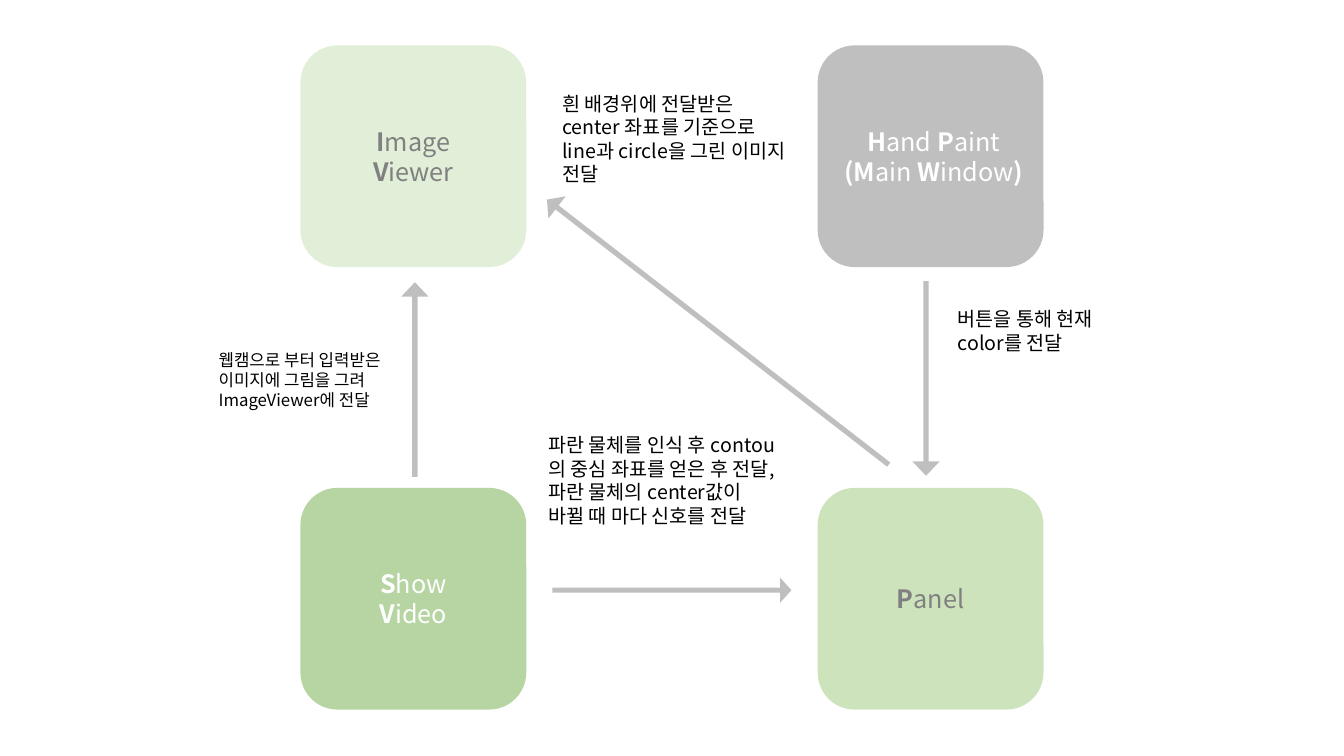
from dataclasses import dataclass

from lxml.etree import SubElement
from pptx import Presentation
from pptx.dml.color import RGBColor
from pptx.enum.shapes import MSO_SHAPE as Shape
from pptx.enum.text import MSO_AUTO_SIZE as AutoSize, PP_ALIGN as Align
from pptx.oxml.ns import qn
from pptx.util import Inches, Pt

FONT = "Noto Sans CJK KR"
WHITE = RGBColor(0xFF, 0xFF, 0xFF)
BLACK = RGBColor(0x00, 0x00, 0x00)
GRAY = RGBColor(0x80, 0x80, 0x80)
ARROW_GRAY = RGBColor(0xBF, 0xBF, 0xBF)
PALE_GREEN = RGBColor(0xC5, 0xE0, 0xB4)
GREEN = RGBColor(0x70, 0xAD, 0x47)
LIGHT_GREEN = RGBColor(0xA9, 0xD1, 0x8E)

COLUMNS = (2.98, 8.11)
ROWS = (0.45, 4.84)
BOX_W, BOX_H = 2.24, 2.2
LINE_H = 0.3


@dataclass
class Module:
    """One box of the diagram; *marked* letters of its lines are bold."""
    col: int
    row: int
    fill: RGBColor
    opacity: int
    lines: tuple[str, ...]
    color: RGBColor
    shift: float = 0


@dataclass
class Arrow:
    """A down arrow, given before it is turned clockwise by angle."""
    left: float
    top: float
    width: float
    length: float
    angle: float
    shaft: float
    head: float


@dataclass
class Note:
    left: float
    top: float
    width: float
    height: float
    size: int
    text: str


MODULES = (
    Module(0, 0, PALE_GREEN, 50, ("*I*mage", "*V*iewer"), GRAY),
    Module(0, 1, GREEN, 50, ("*S*how", "*V*ideo"), WHITE),
    Module(1, 1, LIGHT_GREEN, 59, ("*P*anel",), GRAY),
    Module(1, 0, GRAY, 50, ("*H*and* P*aint", "*(M*ain* W*indow*)*"), WHITE, 0.03),
)
ARROWS = (
    Arrow(3.98, 2.8, 0.27, 1.93, 180, 0.197, 0.526),
    Arrow(6.54, 4.67, 0.25, 2.37, 270, 0.202, 0.451),
    Arrow(6.98, 1.15, 0.28, 4.29, 127.8, 0.187, 0.451),
    Arrow(9.05, 2.79, 0.27, 1.93, 0, 0.197, 0.526),
)
NOTES = (
    Note(2.07, 3.42, 2.13, 0.7, 12,
         "웹캠으로 부터 입력받은 이미지에 그림을 그려 ImageViewer에 전달"),
    Note(5.34, 4.25, 2.51, 1.26, 14,
         "파란 물체를 인식 후 contou의 중심 좌표를 얻은 후 전달, "
         "파란 물체의 center값이 바뀔 때 마다 신호를 전달"),
    Note(9.4, 3, 2.03, 0.56, 14, "버튼을 통해 현재 color를 전달"),
    Note(5.48, 0.86, 2.49, 1.03, 14,
         "흰 배경위에 전달받은 center 좌표를 기준으로 line과 circle을 그린 이미지 전달"),
)


def add_plain_shape(s, kind: Shape, left: float, top: float,
                    width: float, height: float, fill: RGBColor):
    sp = s.shapes.add_shape(kind, Inches(left), Inches(top),
                            Inches(width), Inches(height))
    sp.shadow.inherit = False
    sp.fill.solid()
    sp.fill.fore_color.rgb = fill
    sp.line.fill.background()
    return sp


def set_opacity(sp, percent: int) -> None:
    color = sp._element.spPr.find(qn("a:solidFill"))[0]
    SubElement(color, qn("a:alpha")).set("val", str(percent * 1000))


def add_text(s, left: float, top: float, width: float, height: float,
             lines: tuple[str, ...], size: int, color: RGBColor, align: Align) -> None:
    """Add one paragraph per line, with *marked* parts in bold."""
    tf = s.shapes.add_textbox(Inches(left), Inches(top),
                              Inches(width), Inches(height)).text_frame
    tf.word_wrap = True
    tf.auto_size = AutoSize.SHAPE_TO_FIT_TEXT
    for i, line in enumerate(lines):
        p = tf.add_paragraph() if i else tf.paragraphs[0]
        p.alignment = align
        for j, part in enumerate(line.split("*")):
            if not part:
                continue
            r = p.add_run()
            r.text = part
            r.font.name = FONT
            r.font.size = Pt(size)
            r.font.bold = j % 2 == 1
            r.font.color.rgb = color
            SubElement(r._r.rPr, qn("a:ea")).set("typeface", FONT)


def add_module_box(s, m: Module) -> None:
    sp = add_plain_shape(s, Shape.ROUNDED_RECTANGLE, COLUMNS[m.col], ROWS[m.row],
                         BOX_W, BOX_H, m.fill)
    sp.adjustments[0] = 0.167
    set_opacity(sp, m.opacity)


def add_module_name(s, m: Module) -> None:
    height = LINE_H * len(m.lines) + 0.1
    top = ROWS[m.row] + (BOX_H - height) / 2
    add_text(s, COLUMNS[m.col] + m.shift, top, BOX_W, height,
             m.lines, 18, m.color, Align.CENTER)


def add_arrow(s, a: Arrow) -> None:
    sp = add_plain_shape(s, Shape.DOWN_ARROW, a.left, a.top, a.width, a.length, ARROW_GRAY)
    sp.rotation = a.angle
    sp.adjustments[0] = a.shaft
    sp.adjustments[1] = a.head


def main() -> None:
    prs = Presentation()
    prs.slide_width, prs.slide_height = Inches(13.33), Inches(7.5)
    s = prs.slides.add_slide(prs.slide_layouts[6])
    for m in MODULES:
        add_module_box(s, m)
    for m in MODULES:
        add_module_name(s, m)
    for a in ARROWS:
        add_arrow(s, a)
    for n in NOTES:
        add_text(s, n.left, n.top, n.width, n.height, (n.text,), n.size, BLACK, Align.LEFT)
    prs.save("out.pptx")


if __name__ == "__main__":
    main()
